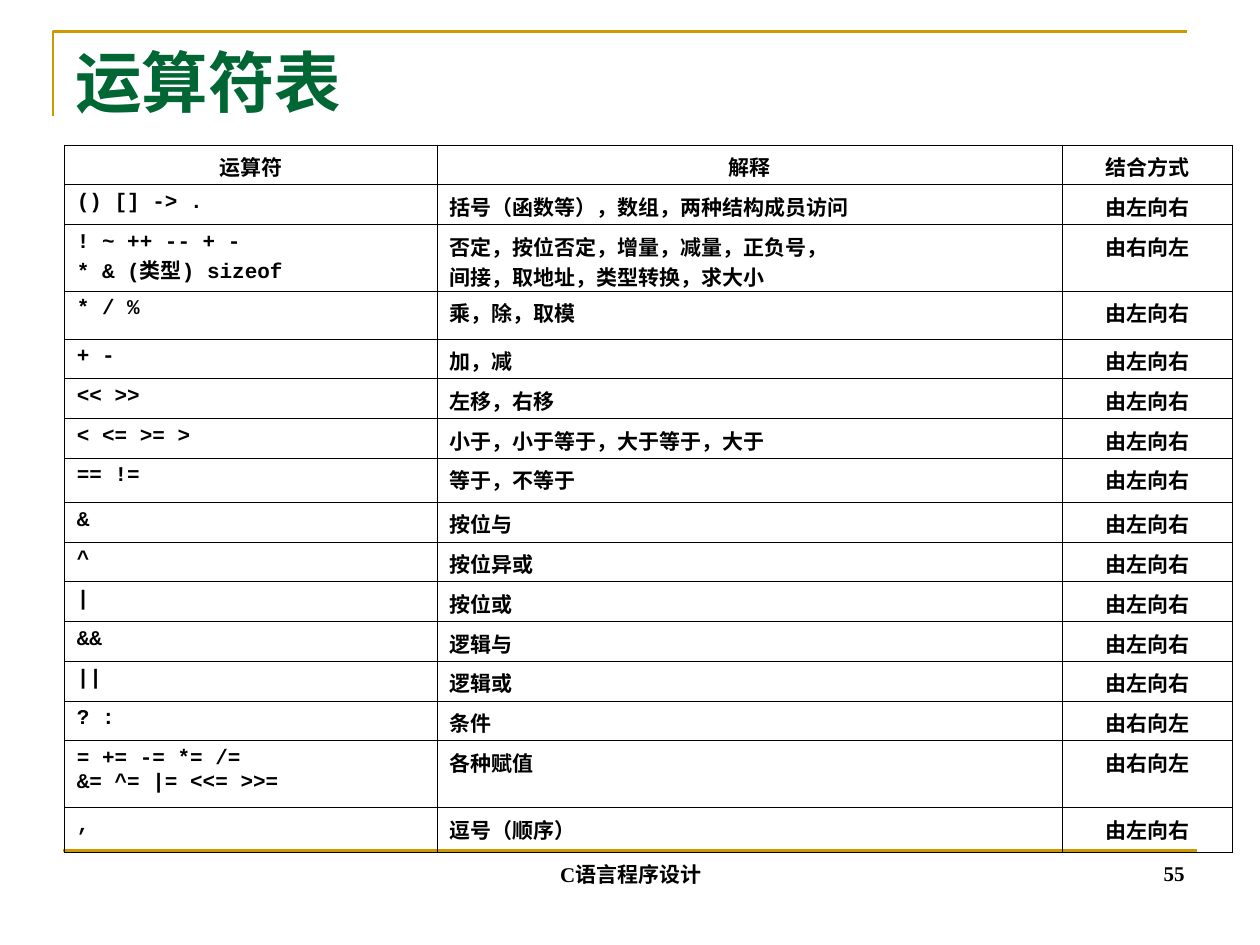
from lxml.etree import SubElement
from pptx import Presentation
from pptx.dml.color import RGBColor
from pptx.enum.text import MSO_ANCHOR, PP_ALIGN
from pptx.oxml.ns import qn
from pptx.util import Inches, Pt

BLACK = RGBColor(0x00, 0x00, 0x00)
GREEN = RGBColor(0x00, 0x66, 0x33)
GOLD = RGBColor(0xCC, 0x99, 0x00)
SERIF, MONO = "Times New Roman", "Courier New"

TITLE = "运算符表"
FOOTER = "C语言程序设计"
PAGE_NUMBER = "55"
HEADINGS = ("运算符", "解释", "结合方式")
LEFT, RIGHT = "由左向右", "由右向左"
# Operators, explanation, associativity; a line is a string or a list of (text, font) runs
OPERATORS = [
    (["() [] -> ."], ["括号（函数等），数组，两种结构成员访问"], LEFT),
    (["! ~ ++ -- + -", [("* & (", MONO), ("类型", SERIF), (") sizeof", MONO)]],
     ["否定，按位否定，增量，减量，正负号，", "间接，取地址，类型转换，求大小"], RIGHT),
    (["* / %"], ["乘，除，取模"], LEFT),
    (["+ -"], ["加，减"], LEFT),
    (["<< >>"], ["左移，右移"], LEFT),
    (["< <= >= >"], ["小于，小于等于，大于等于，大于"], LEFT),
    (["== !="], ["等于，不等于"], LEFT),
    (["&"], ["按位与"], LEFT),
    (["^"], ["按位异或"], LEFT),
    (["|"], ["按位或"], LEFT),
    (["&&"], ["逻辑与"], LEFT),
    (["||"], ["逻辑或"], LEFT),
    (["? :"], ["条件"], RIGHT),
    (["= += -= *= /=", "&= ^= |= <<= >>="], ["各种赋值"], RIGHT),
    ([","], ["逗号（顺序）"], LEFT),
]
COLUMN_WIDTHS = (2.96, 4.96, 1.35)
TABLE_LEFT, TABLE_TOP, TABLE_HEIGHT = 0.51, 1.15, 5.62
TALL_ROWS = {2: 0.53, 3: 0.38, 7: 0.35, 14: 0.53, 15: 0.36}


def write_lines(frame, lines, font_name, align=PP_ALIGN.LEFT, size=12, color=BLACK):
    for index, line in enumerate(lines):
        paragraph = frame.add_paragraph() if index else frame.paragraphs[0]
        paragraph.alignment = align
        runs = [(line, font_name)] if isinstance(line, str) else line
        for text, name in runs:
            run = paragraph.add_run()
            run.text = text
            for key, value in {"name": name, "size": Pt(size), "bold": True}.items():
                setattr(run.font, key, value)
            run.font.color.rgb = color


def add_label(slide, box, text, anchor, **text_format):
    frame = slide.shapes.add_textbox(*map(Inches, box)).text_frame
    frame.word_wrap = True
    frame.vertical_anchor = anchor
    write_lines(frame, [text], SERIF, **text_format)


def add_rules(slide):
    builder = slide.shapes.build_freeform(Inches(0.42), Inches(0.92))
    builder.add_line_segments([(Inches(0.42), Inches(0.25)),
                               (Inches(9.42), Inches(0.25))], close=False)
    corner = builder.convert_to_shape()
    corner.shadow.inherit = False
    corner.fill.background()
    footer_rule = slide.shapes.add_connector(
        1, Inches(0.5), Inches(6.75), Inches(9.5), Inches(6.75))
    SubElement(footer_rule._element.spPr, qn("a:effectLst"))
    for rule in (corner, footer_rule):
        rule.line.color.rgb = GOLD
        rule.line.width = Pt(1.5)
    # The effect list has to follow the line properties
    properties = footer_rule._element.spPr
    properties.append(properties.find(qn("a:effectLst")))


def add_borders(cell):
    properties = cell._tc.get_or_add_tcPr()
    for side in ("lnL", "lnR", "lnT", "lnB"):
        border = SubElement(properties, qn(f"a:{side}"), w=str(Pt(0.45)))
        fill = SubElement(border, qn("a:solidFill"))
        SubElement(fill, qn("a:srgbClr"), val=str(BLACK))


def add_operator_table(slide):
    rows = [([operators], [], "") for operators in ()]
    rows = [[([heading], SERIF, PP_ALIGN.CENTER) for heading in HEADINGS]]
    for operators, explanation, associativity in OPERATORS:
        rows.append([(operators, MONO, PP_ALIGN.LEFT),
                     (explanation, SERIF, PP_ALIGN.LEFT),
                     ([associativity], SERIF, PP_ALIGN.CENTER)])
    table = slide.shapes.add_table(
        len(rows), len(COLUMN_WIDTHS), Inches(TABLE_LEFT), Inches(TABLE_TOP),
        Inches(sum(COLUMN_WIDTHS)), Inches(TABLE_HEIGHT)).table
    table.first_row = table.horz_banding = False
    for column, width in zip(table.columns, COLUMN_WIDTHS):
        column.width = Inches(width)
    plain_height = (TABLE_HEIGHT - sum(TALL_ROWS.values())) / (len(rows) - len(TALL_ROWS))
    for row_index, row in enumerate(rows):
        table.rows[row_index].height = Inches(TALL_ROWS.get(row_index, plain_height))
        for column_index, (lines, font_name, align) in enumerate(row):
            cell = table.cell(row_index, column_index)
            cell.margin_bottom = 0
            add_borders(cell)
            cell.fill.background()
            write_lines(cell.text_frame, lines, font_name, align)


def main():
    presentation = Presentation()
    presentation.slide_width, presentation.slide_height = Inches(10), Inches(7.5)
    slide = presentation.slides.add_slide(presentation.slide_layouts[6])
    add_rules(slide)
    add_label(slide, (3.42, 6.59, 3.17, 0.5), FOOTER, MSO_ANCHOR.BOTTOM,
              align=PP_ALIGN.CENTER)
    add_label(slide, (7.17, 6.58, 2.33, 0.5), PAGE_NUMBER, MSO_ANCHOR.BOTTOM,
              align=PP_ALIGN.RIGHT)
    add_operator_table(slide)
    add_label(slide, (0.5, 0.3, 9, 0.69), TITLE, MSO_ANCHOR.MIDDLE, size=38, color=GREEN)
    presentation.save("out.pptx")


if __name__ == "__main__":
    main()
